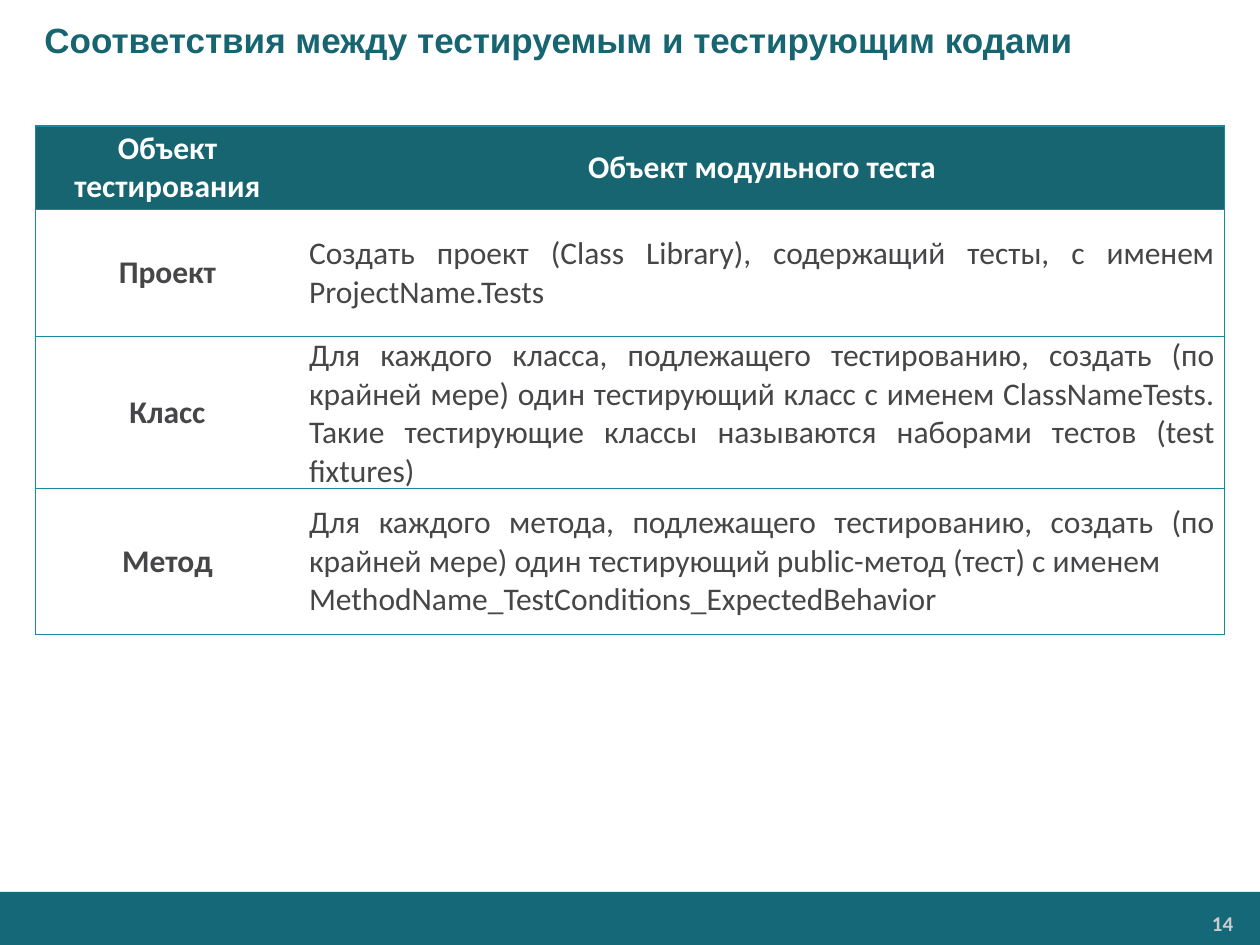
"""Build a slide with a table matching tested code to testing code."""
from dataclasses import dataclass

from lxml import etree
from pptx import Presentation
from pptx.dml.color import RGBColor
from pptx.enum import shapes, text
from pptx.oxml.ns import qn
from pptx.util import Cm, Pt

LEFT, CENTER = text.PP_ALIGN.LEFT, text.PP_ALIGN.CENTER
RIGHT, JUSTIFY = text.PP_ALIGN.RIGHT, text.PP_ALIGN.JUSTIFY


@dataclass(frozen=True)
class Theme:
    accent: str = "176571"
    bar: str = "146878"
    border: str = "178AA0"
    body: str = "464547"
    white: str = "FFFFFF"
    number: str = "CCCCCC"
    title_font: str = "Arial"
    body_font: str = "Calibri"
    title_size: int = 20
    body_size: int = 18
    number_size: int = 12
    border_width: float = 0.75


@dataclass(frozen=True)
class Row:
    height: float
    subject: tuple[str, ...]
    rule: tuple[str, ...]


THEME = Theme()
COLUMNS = (5.33, 18.64)
HEADER = Row(1.68, ("Объект", "тестирования"), ("Объект модульного теста",))
ROWS = (
    Row(2.57, ("Проект",), (
        "Создать проект (Class Library), содержащий тесты, с именем ProjectName.Tests",)),
    Row(2.95, ("Класс",), (
        "Для каждого класса, подлежащего тестированию, создать (по крайней мере) один "
        "тестирующий класс с именем ClassNameTests. Такие тестирующие классы называются "
        "наборами тестов (test fixtures)",)),
    Row(2.95, ("Метод",), (
        "Для каждого метода, подлежащего тестированию, создать (по крайней мере) один "
        "тестирующий public-метод (тест) с именем",
        "MethodName_TestConditions_ExpectedBehavior")),
)


def write(tf, *lines: str, color: str, size: int = THEME.body_size,
          font: str = THEME.body_font, bold: bool = True, align=LEFT) -> None:
    for i, line in enumerate(lines):
        p = tf.paragraphs[0] if i == 0 else tf.add_paragraph()
        p.alignment = align
        r = p.add_run()
        r.text = line
        r.font.name, r.font.size, r.font.bold = font, Pt(size), bold
        r.font.color.rgb = RGBColor.from_string(color)


def set_borders(cell, visible: str) -> None:
    tc_pr = cell._tc.get_or_add_tcPr()
    for i, side in enumerate("LRTB"):
        ln = etree.Element(qn(f"a:ln{side}"), w=str(Pt(THEME.border_width)))
        if side in visible:
            fill = etree.SubElement(ln, qn("a:solidFill"))
            etree.SubElement(fill, qn("a:srgbClr"), val=THEME.border)
        else:
            etree.SubElement(ln, qn("a:noFill"))
        tc_pr.insert(i, ln)


def fill_cell(cell, lines: tuple[str, ...], *, header: bool, first: bool) -> None:
    cell.margin_left = cell.margin_right = Cm(0.19)
    cell.margin_top = cell.margin_bottom = 0
    cell.vertical_anchor = text.MSO_ANCHOR.MIDDLE
    if header:
        cell.fill.solid()
        cell.fill.fore_color.rgb = RGBColor.from_string(THEME.accent)
    else:
        cell.fill.background()
    set_borders(cell, "LTB" if first else "RTB")
    write(cell.text_frame, *lines, color=THEME.white if header else THEME.body,
          bold=header or first, align=CENTER if header or first else JUSTIFY)


def add_footer(slide) -> None:
    sp = slide.shapes.add_shape(shapes.MSO_SHAPE.RECTANGLE,
                                Cm(0), Cm(17.98), Cm(25.4), Cm(1.07))
    sp.shadow.inherit = False
    sp.fill.solid()
    sp.fill.fore_color.rgb = RGBColor.from_string(THEME.bar)
    sp.line.fill.background()
    tf = slide.shapes.add_textbox(Cm(20.9), Cm(18.26), Cm(4.14), Cm(0.71)).text_frame
    tf.word_wrap = True
    tf.margin_left = tf.margin_right = Cm(0.18)
    tf.margin_top = tf.margin_bottom = Cm(0.1)
    write(tf, "14", color=THEME.number, size=THEME.number_size, align=RIGHT)


def add_title(slide, title: str) -> None:
    sp = slide.shapes.title
    sp.left, sp.top, sp.width, sp.height = Cm(0), Cm(0), Cm(25.4), Cm(1.6)
    tf = sp.text_frame
    tf.auto_size = text.MSO_AUTO_SIZE.NONE
    tf.vertical_anchor = text.MSO_ANCHOR.MIDDLE
    write(tf, title, color=THEME.accent, size=THEME.title_size, font=THEME.title_font)
    tf.paragraphs[0]._p.get_or_add_pPr().set("marL", str(Cm(0.64)))


def add_mapping(slide, rows: tuple[Row, ...]) -> None:
    table = slide.shapes.add_table(len(rows), len(COLUMNS), Cm(0.71), Cm(2.54),
                                   Cm(sum(COLUMNS)),
                                   Cm(sum(row.height for row in rows))).table
    table.horz_banding = False
    for column, width in zip(table.columns, COLUMNS):
        column.width = Cm(width)
    for i, row in enumerate(rows):
        table.rows[i].height = Cm(row.height)
        for j, lines in enumerate((row.subject, row.rule)):
            fill_cell(table.cell(i, j), lines, header=i == 0, first=j == 0)


def main() -> None:
    prs = Presentation()
    prs.slide_width, prs.slide_height = Cm(25.4), Cm(19.05)
    slide = prs.slides.add_slide(prs.slide_layouts[5])
    add_footer(slide)
    add_title(slide, "Соответствия между тестируемым и тестирующим кодами")
    add_mapping(slide, (HEADER, *ROWS))
    prs.save("out.pptx")


if __name__ == "__main__":
    main()
